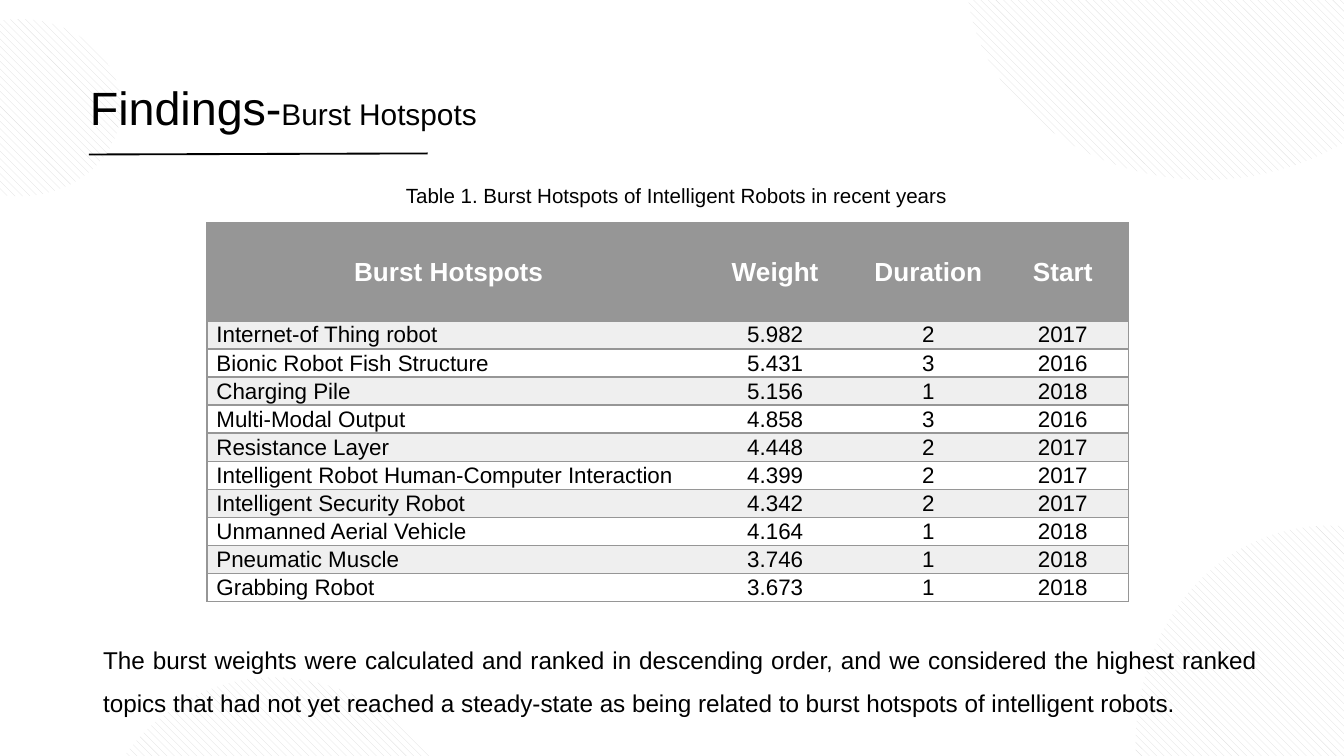
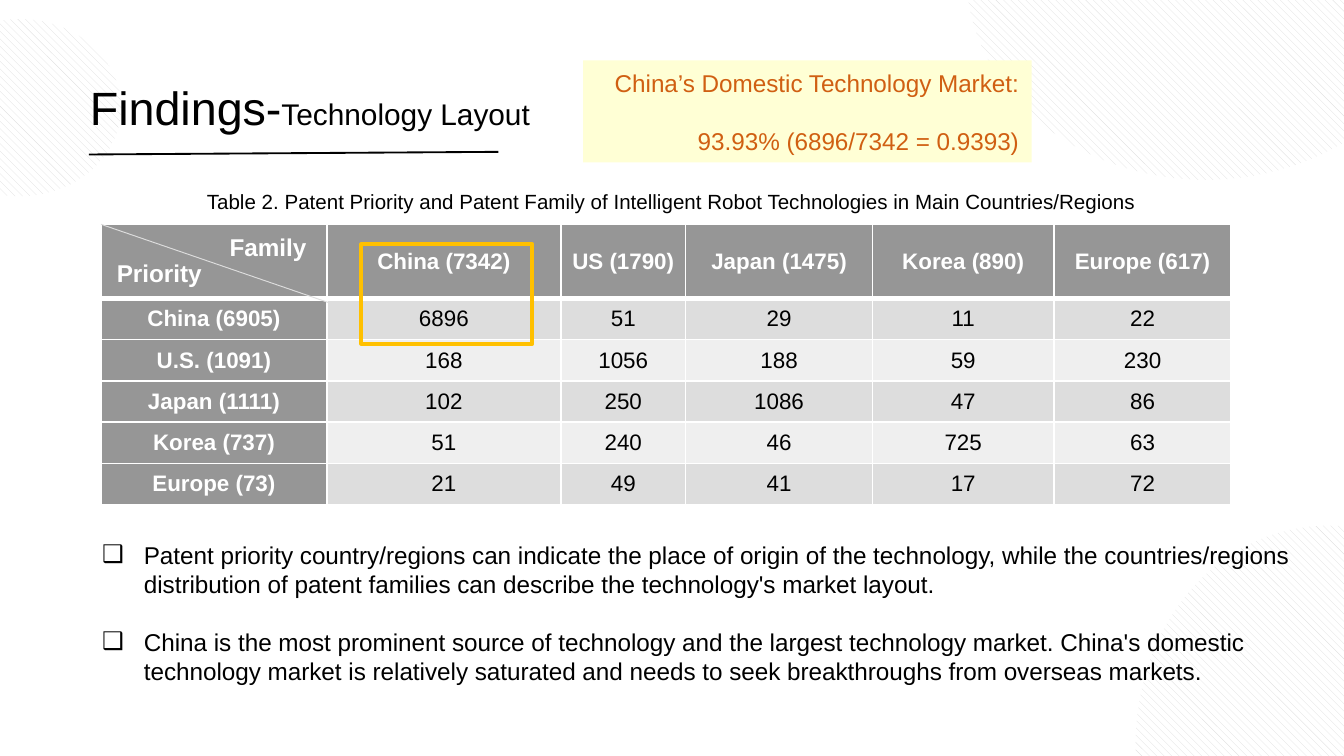
from lxml.etree import SubElement
from pptx import Presentation
from pptx.dml.color import RGBColor
from pptx.enum.dml import MSO_PATTERN
from pptx.enum.shapes import MSO_CONNECTOR, MSO_SHAPE
from pptx.enum.text import MSO_ANCHOR, PP_ALIGN
from pptx.oxml.ns import qn
from pptx.util import Cm, Pt

FONT = "Arial"
BLACK, WHITE, GRAY = "000000", "FFFFFF", "969696"
MID, PALE = "DDDDDD", "EFEFEF"
LEFT, MIDDLE, RIGHT, FULL = PP_ALIGN.LEFT, PP_ALIGN.CENTER, PP_ALIGN.RIGHT, PP_ALIGN.JUSTIFY


def hue(code):
    return RGBColor.from_string(code)


def write(frame, *paras, size=13, color=BLACK, bold=False, align=LEFT,
          gap=0, lead=None, mark=None):
    for i, runs in enumerate(paras):
        para = frame.add_paragraph() if i else frame.paragraphs[0]
        para.alignment = align
        if i:
            para.space_before = Pt(gap)
        if lead:
            para.line_spacing = lead
        if mark:
            props = para._p.get_or_add_pPr()
            props.set("marL", str(Cm(0.79)))
            props.set("indent", str(-Cm(0.79)))
            SubElement(props, qn("a:buFont"), typeface=FONT)
            SubElement(props, qn("a:buChar"), char=mark)
        for words, points in [(runs, size)] if isinstance(runs, str) else runs:
            run = para.add_run()
            run.text = words
            font = run.font
            font.name, font.size, font.bold = FONT, Pt(points), bold
            font.color.rgb = hue(color)


def edge(cell, sides):
    props = cell._tc.get_or_add_tcPr()
    for side in "LRTB":
        color, width = sides[side]
        line = SubElement(props, qn(f"a:ln{side}"), w=str(Pt(width)))
        if width:
            fill = SubElement(line, qn("a:solidFill"))
            SubElement(fill, qn("a:srgbClr"), val=color)
        else:
            SubElement(line, qn("a:noFill"))


class Deck:
    def __init__(self):
        self.show = Presentation()
        self.show.slide_width, self.show.slide_height = Cm(25.4), Cm(14.29)
        self.slide = None

    def start(self, topic, width, end, discs):
        self.slide = self.show.slides.add_slide(self.show.slide_layouts[6])
        self.disc(-1.55, 0.36, 3.84, 3.35)
        for left, top, turn in discs:
            self.disc(left, top, 9.07, 7.82, turn)
        self.text((1.45, 1.37, width, 1.32), [("Findings-", 25), (topic, 16)])
        self.line((1.68, 2.92), end)

    def shape(self, kind, box):
        shape = self.slide.shapes.add_shape(kind, *map(Cm, box))
        shape.shadow.inherit = False
        return shape

    def disc(self, left, top, width, height, turn=0):
        disc = self.shape(MSO_SHAPE.OVAL, (left, top, width, height))
        disc.rotation = turn
        disc.fill.patterned()
        disc.fill.pattern = MSO_PATTERN.WIDE_DOWNWARD_DIAGONAL
        disc.fill.fore_color.rgb = hue(MID)
        disc.fill.back_color.rgb = hue(WHITE)
        disc.line.fill.background()

    def text(self, box, *paras, wrap=True, **form):
        frame = self.slide.shapes.add_textbox(*map(Cm, box)).text_frame
        frame.word_wrap = wrap
        write(frame, *paras, **form)

    def line(self, start, end, color=BLACK, width=1):
        line = self.slide.shapes.add_connector(
            MSO_CONNECTOR.STRAIGHT, *map(Cm, start + end))
        line.line.color.rgb = hue(color)
        line.line.width = Pt(width)
        SubElement(line._element.spPr, qn("a:effectLst"))

    def note(self, box, fill, *paras, **form):
        note = self.shape(MSO_SHAPE.RECTANGLE, box)
        note.fill.solid()
        note.fill.fore_color.rgb = hue(fill)
        note.line.fill.background()
        frame = note.text_frame
        frame.word_wrap = True
        frame.vertical_anchor = MSO_ANCHOR.MIDDLE
        write(frame, *paras, **form)

    def ring(self, box, color, width):
        ring = self.shape(MSO_SHAPE.RECTANGLE, box)
        ring.fill.background()
        ring.line.color.rgb = hue(color)
        ring.line.width = Pt(width)

    def table(self, spot, cols, head, step, rows, style):
        size = sum(cols), head + step * (len(rows) - 1)
        table = self.slide.shapes.add_table(
            len(rows), len(cols), *map(Cm, spot + size)).table
        table.first_row = table.horz_banding = False
        for col, width in zip(table.columns, cols):
            col.width = Cm(width)
        for r, row in enumerate(rows):
            table.rows[r].height = Cm(step if r else head)
            for c, words in enumerate(row):
                cell = table.cell(r, c)
                fill, sides, form = style(r, c)
                edge(cell, sides)
                cell.fill.solid()
                cell.fill.fore_color.rgb = hue(fill)
                cell.margin_left = cell.margin_right = Cm(0.18)
                cell.margin_top = cell.margin_bottom = 0
                cell.vertical_anchor = MSO_ANCHOR.MIDDLE
                write(cell.text_frame, words, **form)


def burst(r, c):
    rule, none = (GRAY, 1), (GRAY, 0)
    sides = dict(L=none if c else rule, R=rule if c == 3 else none, T=rule, B=rule)
    if r == 0:
        return GRAY, sides, dict(size=14, color=WHITE, bold=True, align=MIDDLE)
    return (PALE if r % 2 else WHITE), sides, dict(size=12, align=MIDDLE if c else FULL)


def layout(r, c):
    sides = dict.fromkeys("LRTB", (WHITE, 1))
    if r < 2:
        sides["T" if r else "B"] = (WHITE, 3)
    form = dict(size=12, align=MIDDLE)
    if r == 0 or c == 0:
        return GRAY, sides, dict(form, color=WHITE, bold=True)
    return (MID if r % 2 else PALE), sides, form


SPOTS = [
    ("Burst Hotspots", "Weight", "Duration", "Start"),
    ("Internet-of Thing robot", "5.982", "2", "2017"),
    ("Bionic Robot Fish Structure", "5.431", "3", "2016"),
    ("Charging Pile", "5.156", "1", "2018"),
    ("Multi-Modal Output", "4.858", "3", "2016"),
    ("Resistance Layer", "4.448", "2", "2017"),
    ("Intelligent Robot Human-Computer Interaction", "4.399", "2", "2017"),
    ("Intelligent Security Robot", "4.342", "2", "2017"),
    ("Unmanned Aerial Vehicle", "4.164", "1", "2018"),
    ("Pneumatic Muscle", "3.746", "1", "2018"),
    ("Grabbing Robot", "3.673", "1", "2018"),
]
LANDS = [
    ("", "China (7342)", "US (1790)", "Japan (1475)", "Korea (890)", "Europe (617)"),
    ("China (6905)", "6896", "51", "29", "11", "22"),
    ("U.S. (1091)", "168", "1056", "188", "59", "230"),
    ("Japan (1111)", "102", "250", "1086", "47", "86"),
    ("Korea (737)", "51", "240", "46", "725", "63"),
    ("Europe (73)", "21", "49", "41", "17", "72"),
]


def main():
    deck = Deck()
    discs = [(20.88, 10.52, 75), (18.26, -4.42, 0)]

    deck.start("Burst Hotspots", 8.03, (8.08, 2.9), discs + [(0.94, 13.39, 75)])
    deck.text((7.42, 3.33, 10.85, 0.74),
              "Table 1. Burst Hotspots of Intelligent Robots in recent years",
              size=11, wrap=False)
    deck.table((3.91, 4.22), (9.14, 3.2, 2.59, 2.49), 1.85, 0.53, SPOTS, burst)
    deck.text((1.7, 11.79, 22.28, 1.93),
              "The burst weights were calculated and ranked in descending order, "
              "and we considered the highest ranked topics that had not yet reached "
              "a steady-state as being related to burst hotspots of intelligent robots.",
              align=FULL, lead=1.5)

    deck.start("Technology Layout", 11.89, (9.42, 2.87), discs)
    deck.text((3.66, 3.45, 18.29, 0.74),
              "Table 2. Patent Priority and Patent Family of Intelligent Robot "
              "Technologies in Main Countries/Regions", size=11, wrap=False)
    deck.table((1.91, 4.24), (4.27, 4.42, 2.36, 3.53, 3.43, 3.35), 1.4, 0.78,
               LANDS, layout)
    deck.line((1.91, 4.24), (6.27, 5.74), MID, 0.5)
    for words, left, top in (("Priority", 1.96, 4.75), ("Family", 4.09, 4.27)):
        deck.text((left, top, 2.82, 0.81), words, color=WHITE, bold=True)
    deck.text((1.68, 10.08, 23.37, 3.02),
              "Patent priority country/regions can indicate the place of origin of "
              "the technology, while the countries/regions distribution of patent "
              "families can describe the technology's market layout.",
              "China is the most prominent source of technology and the largest "
              "technology market. China's domestic technology market is relatively "
              "saturated and needs to seek breakthroughs from overseas markets.",
              gap=15.5, mark="❑")
    deck.note((11.02, 1.14, 8.48, 1.93), "FFFFD5",
              "China’s Domestic Technology Market:", "93.93% (6896/7342 = 0.9393)",
              color="D05F12", align=RIGHT, gap=15.5)
    deck.ring((6.83, 4.62, 3.23, 1.88), "FFC000", 2.25)

    deck.show.save("out.pptx")


if __name__ == "__main__":
    main()
